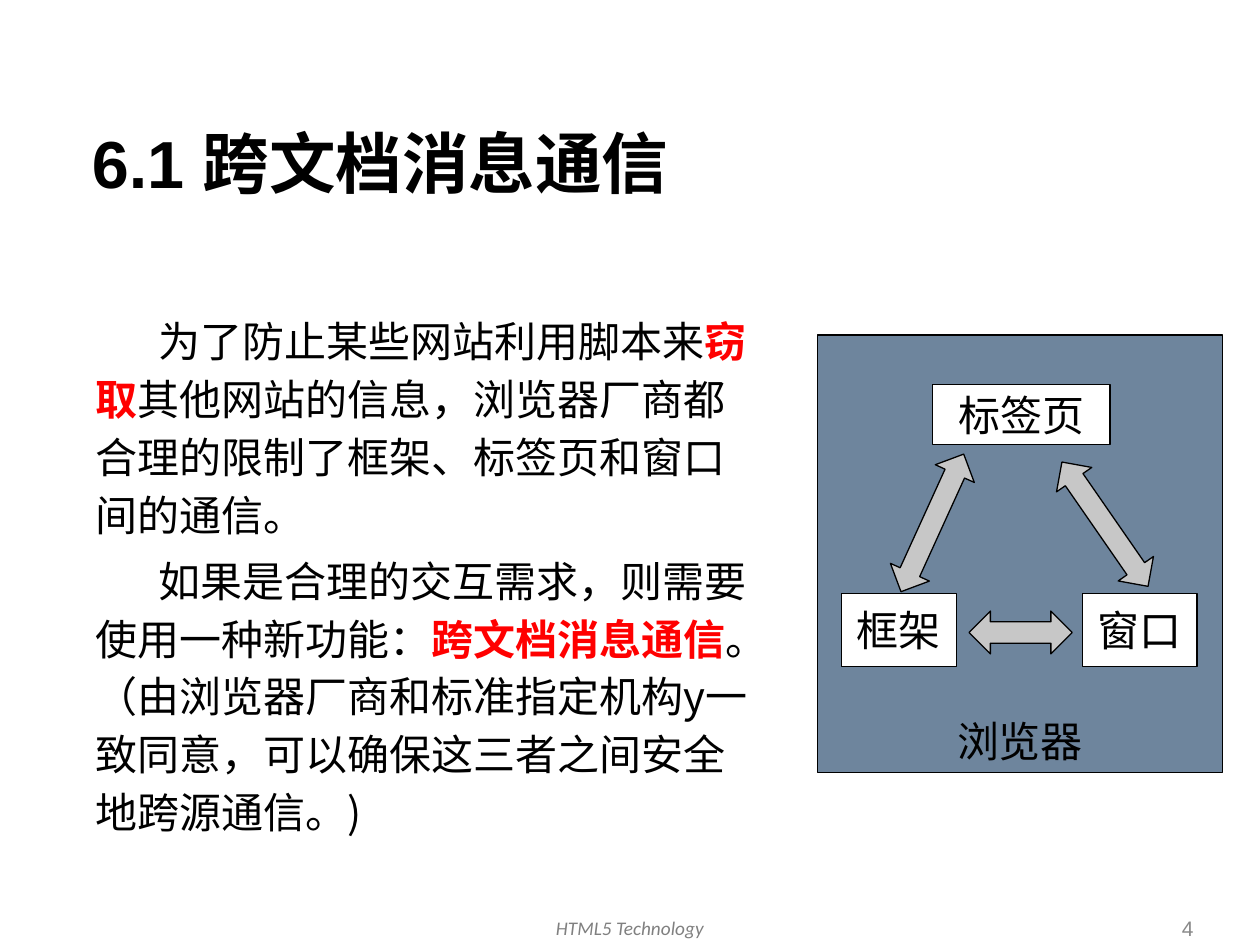
import pptx
import pptx.dml.color
import pptx.enum.shapes
import pptx.enum.text
import pptx.util
from lxml import etree

Inches = pptx.util.Inches
Pt = pptx.util.Pt
Align = pptx.enum.text.PP_ALIGN
Anchor = pptx.enum.text.MSO_ANCHOR
Shape = pptx.enum.shapes.MSO_SHAPE

CJK_FONT = "Noto Sans CJK SC"
DRAWING = "{http://schemas.openxmlformats.org/drawingml/2006/main}"


def color(value):
    return pptx.dml.color.RGBColor.from_string(value)


class SlideBuilder:
    line_color = "000000"
    line_width = 0.75

    def __init__(self, slide):
        self.slide = slide

    def add_run(self, paragraph, text, font_color="000000", **formats):
        run = paragraph.add_run()
        run.text = text
        run.font.color.rgb = color(font_color)
        for name, value in formats.items():
            setattr(run.font, name, value)
        east_asian = etree.SubElement(run.font._element, DRAWING + "ea")
        east_asian.set("typeface", CJK_FONT)

    def fill_frame(self, frame, paragraphs, anchor, paragraph_format, **formats):
        """Each paragraph is a list of (text, changed font formats)."""
        frame.word_wrap = True
        frame.vertical_anchor = anchor
        for index, runs in enumerate(paragraphs):
            paragraph = frame.paragraphs[0] if index == 0 else frame.add_paragraph()
            for name, value in paragraph_format.items():
                if name != "space_before" or index > 0:
                    setattr(paragraph, name, value)
            for text, changes in runs:
                self.add_run(paragraph, text, **{**formats, **changes})
        return frame

    def text(self, box, paragraphs, anchor=Anchor.TOP, paragraph_format=None, **formats):
        shape = self.slide.shapes.add_textbox(*map(Inches, box))
        return self.fill_frame(
            shape.text_frame, paragraphs, anchor, paragraph_format or {}, **formats)

    def shape(self, kind, box, fill, rotation=0):
        shape = self.slide.shapes.add_shape(kind, *map(Inches, box))
        shape.shadow.inherit = False
        shape.rotation = rotation
        shape.fill.solid()
        shape.fill.fore_color.rgb = color(fill)
        shape.line.color.rgb = color(self.line_color)
        shape.line.width = Pt(self.line_width)
        return shape

    def labelled_box(self, box, label, fill="FFFFFF", anchor=Anchor.MIDDLE):
        shape = self.shape(Shape.RECTANGLE, box, fill)
        self.fill_frame(shape.text_frame, [[(label, {})]], anchor,
                        {"alignment": Align.CENTER}, name="DejaVu Sans", size=Pt(24))

    def double_arrow(self, box, rotation=0):
        self.shape(Shape.LEFT_RIGHT_ARROW, box, "C7C7C7", rotation)


def main():
    presentation = pptx.Presentation()
    presentation.slide_width = Inches(10)
    presentation.slide_height = Inches(7.5)
    builder = SlideBuilder(presentation.slides.add_slide(presentation.slide_layouts[6]))

    # Title
    builder.text((0.63, 0.92, 8.75, 1.33), [[("6.1 跨文档消息通信", {})]],
                 name="Arial", size=Pt(38), bold=True)

    # Body, with key terms in red
    key = {"font_color": "FF0000", "bold": True}
    body = [
        [("为了防止某些网站利用脚本来", {}),
         ("窃取", key),
         ("其他网站的信息，浏览器厂商都合理的限制了框架、标签页和窗口间的通信。", {})],
        [("如果是合理的交互需求，则需要使用一种新功能：", {}),
         ("跨文档消息通信", key),
         ("。（由浏览器厂商和标准指定机构y一致同意，可以确保这三者之间安全地跨源通信。)", {})],
    ]
    frame = builder.text(
        (0.66, 2.4, 5.39, 4.67), body,
        paragraph_format={"line_spacing": Pt(33), "space_before": Pt(4.8)},
        name=CJK_FONT, size=Pt(24))
    for paragraph in frame.paragraphs:
        paragraph._p.get_or_add_pPr().set("indent", str(Inches(0.5)))

    # Browser and its parts
    builder.labelled_box((6.49, 2.66, 3.21, 3.47), "浏览器", "6E859D", Anchor.BOTTOM)
    builder.labelled_box((7.4, 3.05, 1.41, 0.48), "标签页")
    for left, label in ((6.68, "框架"), (8.59, "窗口")):
        builder.labelled_box((left, 4.71, 0.91, 0.58), label)

    # Messages between the parts
    builder.double_arrow((6.8, 3.98, 1.2, 0.34), 294.5)
    builder.double_arrow((8.17, 3.99, 1.2, 0.34), 235.3)
    builder.double_arrow((7.69, 4.85, 0.82, 0.34))

    # Footer and slide number
    builder.text((3.22, 7.22, 3.56, 0.33), [[("HTML5 Technology", {})]],
                 paragraph_format={"alignment": Align.CENTER},
                 name="Calibri", size=Pt(11), italic=True, font_color="808080")
    builder.text((7.32, 7.22, 2.25, 0.29), [[("4", {})]], Anchor.MIDDLE,
                 {"alignment": Align.RIGHT},
                 name="Arial", size=Pt(12), font_color="898989")

    presentation.save("out.pptx")


if __name__ == "__main__":
    main()
